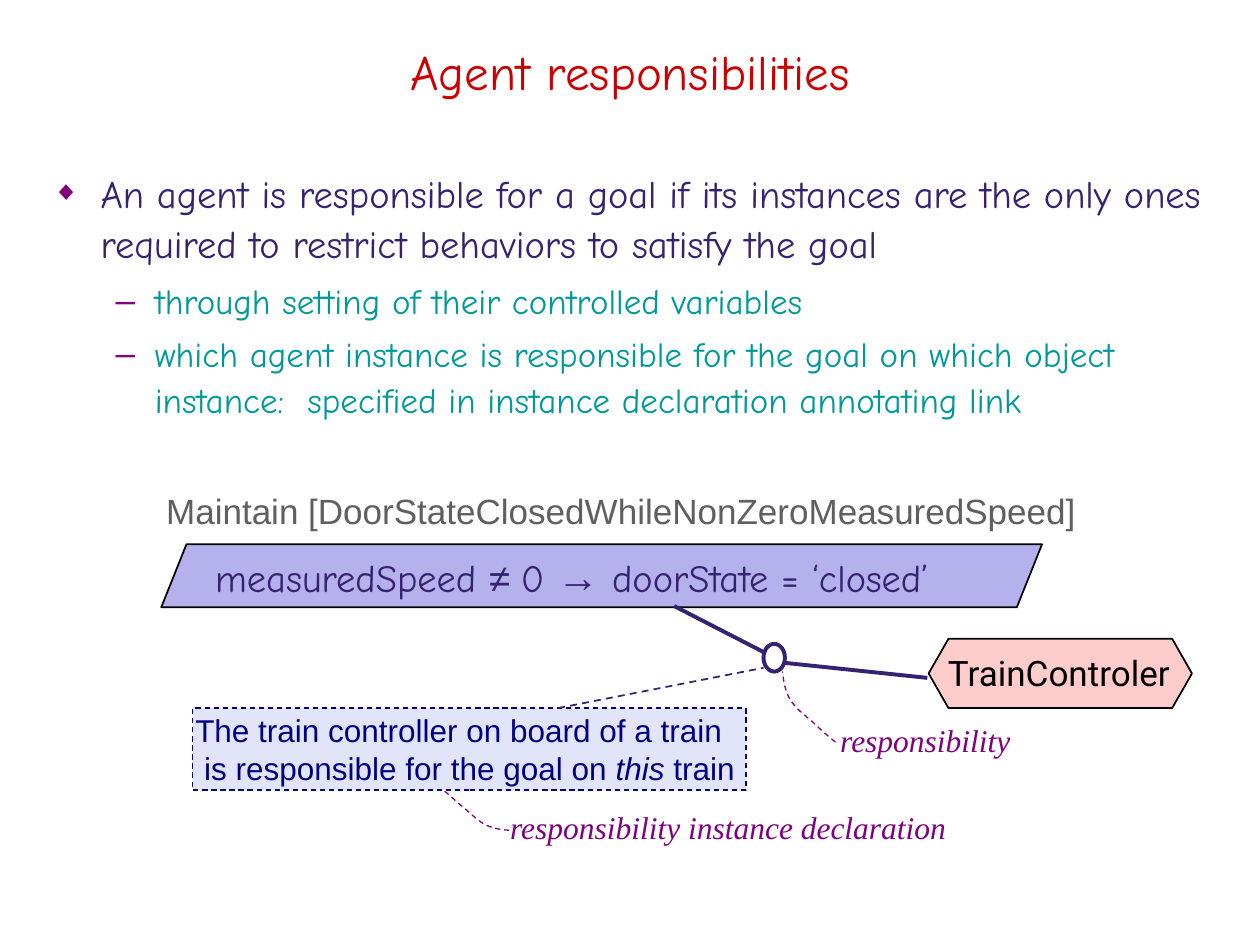
from lxml.etree import SubElement
from pptx import Presentation
from pptx.dml.color import RGBColor
from pptx.enum.dml import MSO_LINE
from pptx.enum.shapes import MSO_CONNECTOR, MSO_SHAPE
from pptx.enum.text import MSO_ANCHOR, PP_ALIGN
from pptx.oxml.ns import qn
from pptx.util import Inches, Pt

RED = RGBColor(0xCC, 0x00, 0x00)
INDIGO = RGBColor(0x35, 0x22, 0x70)
TEAL = RGBColor(0x00, 0x99, 0x99)
PURPLE = RGBColor(0x80, 0x00, 0x80)
NAVY = RGBColor(0x00, 0x00, 0x80)
GRAY = RGBColor(0x5F, 0x5F, 0x5F)
BLACK = RGBColor(0x00, 0x00, 0x00)
GOAL_FILL = RGBColor(0xB4, 0xB1, 0xED)
AGENT_FILL = RGBColor(0xFF, 0xCC, 0xCC)
NOTE_FILL = RGBColor(0xE2, 0xE5, 0xFA)

COMIC = "Comic Neue"
SANS = "Arial"
TIGHT = (0.02, 0.02, 0.02, 0)
NORMAL = (0.1, 0.05, 0.1, 0.05)


def style(run, font, size, color, italic=False):
    run.font.name = font
    run.font.size = Pt(size)
    run.font.color.rgb = color
    run.font.bold = False
    run.font.italic = italic


def set_frame(frame, insets, anchor, wrap=True):
    frame.word_wrap = wrap
    frame.vertical_anchor = anchor
    (frame.margin_left, frame.margin_top,
     frame.margin_right, frame.margin_bottom) = map(Inches, insets)


def add_label(slide, box, text, font, size, color, align=PP_ALIGN.LEFT,
              insets=NORMAL, anchor=MSO_ANCHOR.MIDDLE, wrap=True, italic=False):
    frame = slide.shapes.add_textbox(*map(Inches, box)).text_frame
    set_frame(frame, insets, anchor, wrap)
    frame.text = text
    paragraph = frame.paragraphs[0]
    paragraph.alignment = align
    for run in paragraph.runs:
        style(run, font, size, color, italic)
    return paragraph


def add_figure(slide, kind, box, fill, line, width):
    figure = slide.shapes.add_shape(kind, *map(Inches, box))
    figure.shadow.inherit = False
    if fill is None:
        figure.fill.background()
    else:
        figure.fill.solid()
        figure.fill.fore_color.rgb = fill
    figure.line.color.rgb = line
    figure.line.width = Pt(width)
    return figure


def add_link(slide, start, end, width, dashed=False):
    link = slide.shapes.add_connector(
        MSO_CONNECTOR.STRAIGHT, *map(Inches, start + end))
    link.line.color.rgb = INDIGO
    link.line.width = Pt(width)
    if dashed:
        link.line.dash_style = MSO_LINE.DASH
    SubElement(link._element.spPr, qn("a:effectLst"))


def add_curve(slide, points):
    """Dashed Bezier chain: a start point, then three points per segment."""
    start, *rest = [(Inches(x), Inches(y)) for x, y in points]
    builder = slide.shapes.build_freeform(*start, scale=1.0)
    builder.add_line_segments(rest, close=False)
    curve = builder.convert_to_shape()
    outline = curve._element.spPr.find(".//" + qn("a:path"))
    steps = outline.findall(qn("a:lnTo"))
    for first in range(0, len(steps), 3):
        bezier = SubElement(outline, qn("a:cubicBezTo"))
        for step in steps[first:first + 3]:
            bezier.append(step[0])
            outline.remove(step)
    curve.shadow.inherit = False
    curve.fill.background()
    curve.line.color.rgb = PURPLE
    curve.line.width = Pt(0.75)
    curve.line.dash_style = MSO_LINE.DASH


def set_bullet(paragraph, char, indent, hanging, percent):
    props = paragraph._p.get_or_add_pPr()
    props.set("marL", str(Inches(indent)))
    props.set("indent", str(-Inches(hanging)))
    color = SubElement(props, qn("a:buClr"))
    SubElement(color, qn("a:srgbClr"), val=str(PURPLE))
    SubElement(props, qn("a:buSzPct"), val=str(percent * 1000))
    SubElement(props, qn("a:buFont"), typeface=SANS)
    SubElement(props, qn("a:buChar"), char=char)


def add_title(slide):
    title = slide.shapes.title
    title.left, title.top, title.width, title.height = map(
        Inches, (0.77, 0.15, 8.46, 0.83))
    set_frame(title.text_frame, NORMAL, MSO_ANCHOR.MIDDLE)
    title.text_frame.text = "Agent responsibilities"
    heading = title.text_frame.paragraphs[0]
    heading.alignment = PP_ALIGN.CENTER
    style(heading.runs[0], COMIC, 28, RED)


def add_definition(slide):
    points = [
        ("An agent is responsible for a goal if its instances are the only ones "
         "required to restrict behaviors to satisfy the goal", 0, 9),
        ("through setting of their controlled variables", 1, 5),
        ("which agent instance is responsible for the goal on which object "
         "instance:  specified in instance declaration annotating link", 1, 4),
    ]
    levels = [(22, INDIGO, ("◆", 0.38, 0.38, 70)),
              (20, TEAL, ("–", 0.81, 0.31, 100))]
    body = slide.shapes.add_textbox(*map(Inches, (0.32, 0.99, 9.59, 2.67)))
    frame = body.text_frame
    set_frame(frame, NORMAL, MSO_ANCHOR.MIDDLE)
    frame.text = "\n".join(text for text, _, _ in points)
    for paragraph, (_, level, before) in zip(frame.paragraphs, points):
        size, color, bullet = levels[level]
        paragraph.level = level
        paragraph.line_spacing = 1.1
        paragraph.space_before = Pt(before)
        set_bullet(paragraph, *bullet)
        style(paragraph.runs[0], COMIC, size, color)


def add_goal(slide):
    goal = add_figure(slide, MSO_SHAPE.PARALLELOGRAM, (1.28, 4.32, 6.99, 0.5),
                      GOAL_FILL, BLACK, 1)
    goal.adjustments[0] = 0.4
    formula = add_label(slide, (1.61, 4.32, 6.41, 0.5), "measuredSpeed ",
                        COMIC, 22, INDIGO, wrap=False)
    for text, font, size in [("≠ ", SANS, 22), ("0 ", COMIC, 22),
                             ("→", SANS, 24),
                             (" doorState = ‘closed’", COMIC, 22)]:
        run = formula.add_run()
        run.text = text
        style(run, font, size, INDIGO)
    add_label(slide, (1.22, 3.8, 7.45, 0.5),
              "Maintain [DoorStateClosedWhileNonZeroMeasuredSpeed]",
              SANS, 20, GRAY, wrap=False)


def add_agent(slide):
    agent = add_figure(slide, MSO_SHAPE.HEXAGON, (7.37, 5.07, 2.09, 0.55),
                       AGENT_FILL, BLACK, 1)
    agent.adjustments[0] = 0.286
    add_label(slide, (7.37, 5.12, 2.07, 0.43), "TrainControler",
              "Roboto", 20, BLACK, PP_ALIGN.CENTER)


def add_responsibility_link(slide):
    add_link(slide, (5.35, 4.81), (6.07, 5.18), 2.25)
    add_figure(slide, MSO_SHAPE.OVAL, (6.06, 5.11, 0.17, 0.22), None, INDIGO, 2.25)
    add_link(slide, (6.22, 5.26), (7.36, 5.38), 2.25)


def add_instance_declaration(slide):
    note = add_figure(slide, MSO_SHAPE.RECTANGLE, (1.53, 5.62, 4.39, 0.65),
                      NOTE_FILL, NAVY, 0.75)
    note.line.dash_style = MSO_LINE.DASH
    frame = note.text_frame
    set_frame(frame, TIGHT, MSO_ANCHOR.TOP)
    frame.text = ("The train controller on board of a train\n"
                  "is responsible for the goal on ")
    subject, scope = frame.paragraphs
    for text in ("this", " train"):
        scope.add_run().text = text
    scope.line_spacing = 0.9
    scope._p.get_or_add_pPr().set("marL", str(Inches(0.07)))
    for paragraph in (subject, scope):
        paragraph.alignment = PP_ALIGN.LEFT
        paragraph.space_before = Pt(3)
        for run in paragraph.runs:
            style(run, SANS, 18, NAVY, italic=run.text == "this")
    add_link(slide, (4.43, 5.62), (6.06, 5.3), 1, dashed=True)


def add_callout(slide, box, text, curve):
    caption = add_label(slide, box, text, "Times New Roman", 18, PURPLE,
                        PP_ALIGN.CENTER, TIGHT, MSO_ANCHOR.TOP, italic=True)
    caption.space_before = Pt(3)
    add_curve(slide, curve)


def main():
    deck = Presentation()
    deck.slide_width, deck.slide_height = Inches(10), Inches(7.5)
    slide = deck.slides.add_slide(deck.slide_layouts.get_by_name("Title Only"))
    add_title(slide)
    add_definition(slide)
    add_goal(slide)
    add_agent(slide)
    add_responsibility_link(slide)
    add_instance_declaration(slide)
    add_callout(slide, (6.51, 5.7, 1.67, 0.33), "responsibility",
                [(6.63, 5.89), (6.57, 5.84), (6.51, 5.79), (6.45, 5.73),
                 (6.39, 5.68), (6.31, 5.62), (6.27, 5.55),
                 (6.23, 5.48), (6.22, 5.41), (6.21, 5.33)])
    add_callout(slide, (3.92, 6.39, 3.72, 0.39), "responsibility instance declaration",
                [(3.53, 6.28), (3.58, 6.32), (3.63, 6.37), (3.68, 6.41),
                 (3.74, 6.46), (3.8, 6.52), (3.86, 6.55),
                 (3.93, 6.58), (4, 6.59), (4.07, 6.59)])
    deck.save("out.pptx")


if __name__ == "__main__":
    main()
